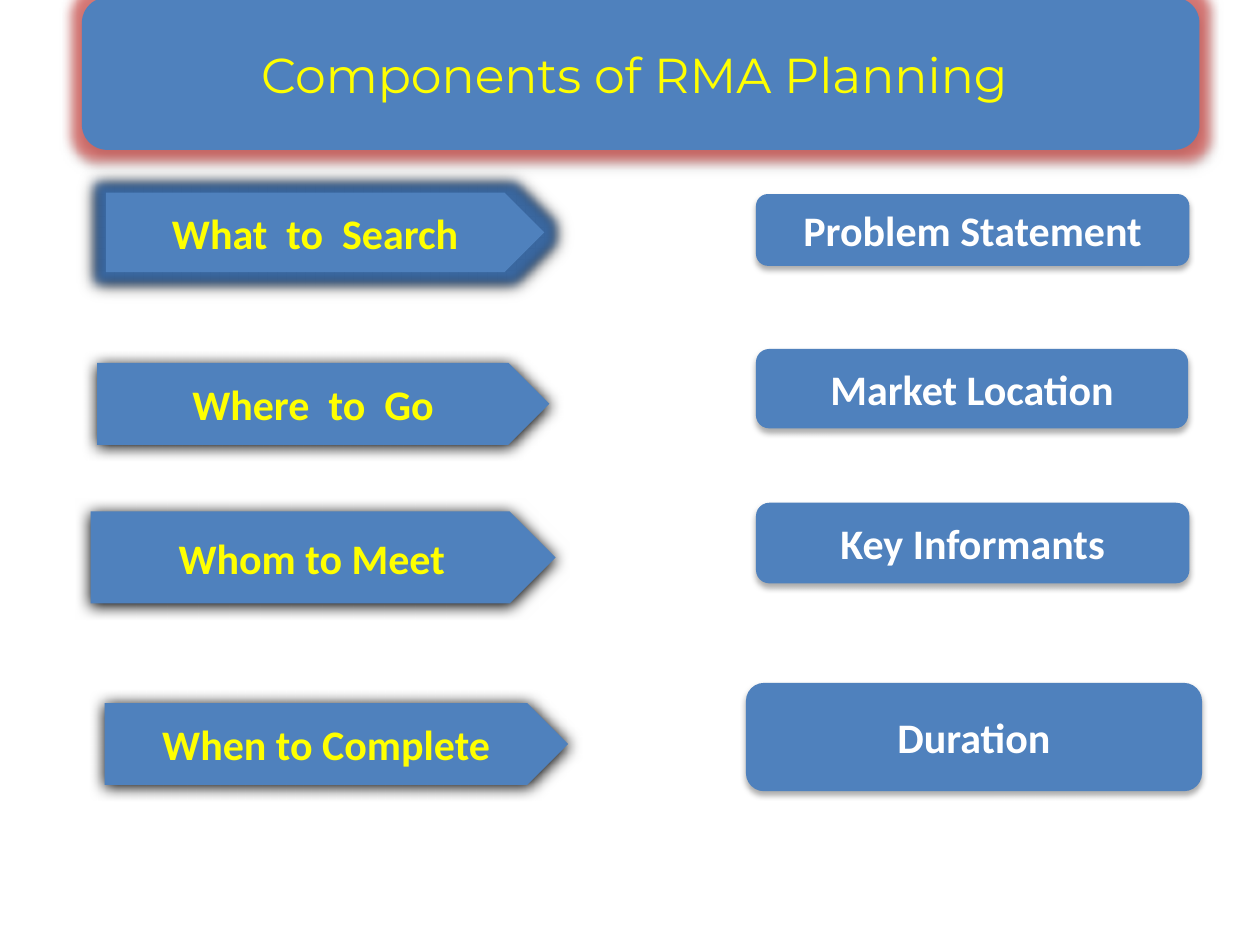
from lxml import etree
from pptx import Presentation
from pptx import util as u
from pptx.dml.color import RGBColor
from pptx.enum import shapes, text
from pptx.oxml.ns import qn

COLORS = {
    "blue": "4F81BD",
    "yellow": "FFFF00",
    "white": "FFFFFF",
    "black": "000000",
    "red_glow": "D63C38",
    "blue_glow": "3A679F",
}
STRONG_SHADOW = (100, 8.5, 1)
SOFT_SHADOW = (32, 3.5, 2.2)

ROWS = [
    ("What  to  Search", (0.84, 1.53, 3.48, 0.63), "Problem Statement", (6, 1.54, 3.44, 0.57)),
    ("Where  to  Go", (0.77, 2.88, 3.59, 0.65), "Market Location", (6, 2.77, 3.43, 0.63)),
    ("Whom to Meet", (0.72, 4.06, 3.69, 0.73), "Key Informants", (6, 3.99, 3.44, 0.64)),
    ("When to Complete", (0.83, 5.58, 3.68, 0.65), "Duration", (5.92, 5.42, 3.62, 0.86)),
]


class SlideBuilder:
    def __init__(self, slide):
        self.slide = slide

    def add_color(self, effect, color, alpha):
        element = etree.SubElement(effect, qn("a:srgbClr"), val=COLORS[color])
        etree.SubElement(element, qn("a:alpha"), val=str(alpha * 1000))

    def add_effects(self, shape, shadow, glow):
        shape.shadow.inherit = False
        effects = shape._element.spPr.find(qn("a:effectLst"))
        if glow:
            color, alpha, radius = glow
            element = etree.SubElement(effects, qn("a:glow"), rad=str(u.Pt(radius)))
            self.add_color(element, color, alpha)
        alpha, blur, distance = shadow
        element = etree.SubElement(
            effects, qn("a:outerShdw"), blurRad=str(u.Pt(blur)),
            dist=str(u.Pt(distance)), dir="5400000", rotWithShape="0")
        self.add_color(element, "black", alpha)

    def add_box(self, kind, words, box, color, shadow, glow=None,
                font="Calibri", size=24, bold=True):
        shape = self.slide.shapes.add_shape(kind, *map(u.Inches, box))
        shape.fill.solid()
        shape.fill.fore_color.rgb = RGBColor.from_string(COLORS["blue"])
        shape.line.fill.background()
        self.add_effects(shape, shadow, glow)
        frame = shape.text_frame
        frame.word_wrap = True
        frame.vertical_anchor = text.MSO_ANCHOR.MIDDLE
        frame.text = words
        paragraph = frame.paragraphs[0]
        paragraph.alignment = text.PP_ALIGN.CENTER
        run_font = paragraph.runs[0].font
        run_font.name = font
        run_font.size = u.Pt(size)
        run_font.bold = bold
        run_font.color.rgb = RGBColor.from_string(COLORS[color])

    def add_question(self, words, box, glow=None):
        self.add_box(shapes.MSO_SHAPE.PENTAGON, words, box, "yellow", STRONG_SHADOW, glow)

    def add_answer(self, words, box):
        self.add_box(shapes.MSO_SHAPE.ROUNDED_RECTANGLE, words, box, "white", SOFT_SHADOW)

    def add_title(self, words, box):
        self.add_box(shapes.MSO_SHAPE.ROUNDED_RECTANGLE, words, box, "yellow", SOFT_SHADOW,
                     ("red_glow", 60, 11), "Montserrat", 28, False)


def main():
    presentation = Presentation()
    presentation.slide_width = u.Inches(10)
    presentation.slide_height = u.Inches(7.5)
    builder = SlideBuilder(presentation.slides.add_slide(presentation.slide_layouts[6]))
    for index, (question, question_box, answer, answer_box) in enumerate(ROWS):
        glow = ("blue_glow", 100, 11) if index == 0 else None
        builder.add_question(question, question_box, glow)
        builder.add_answer(answer, answer_box)
    builder.add_title("Components of RMA Planning ", (0.65, -0.02, 8.87, 1.21))
    presentation.save("out.pptx")


if __name__ == "__main__":
    main()
